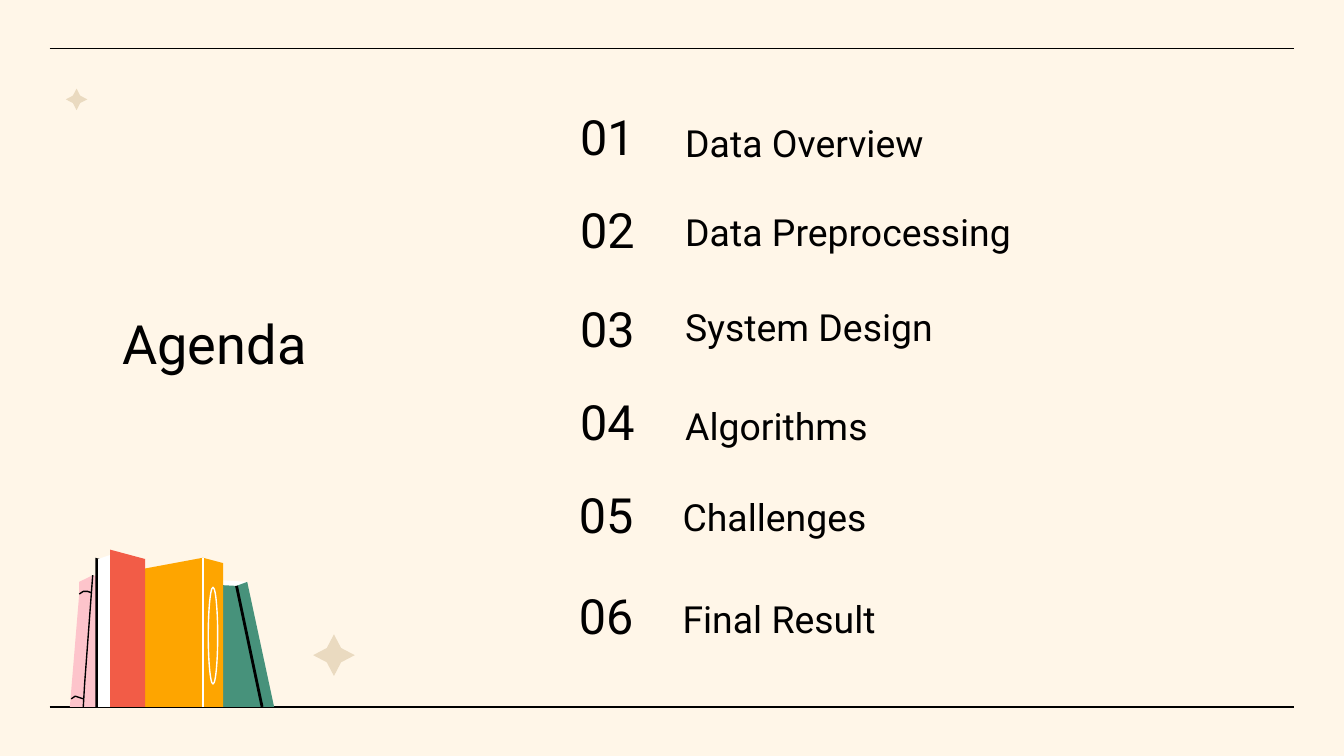
from lxml.etree import SubElement
from pptx import Presentation
from pptx.dml.color import RGBColor
from pptx.enum.shapes import MSO_CONNECTOR as CONNECTOR, MSO_SHAPE as SHAPE
from pptx.enum.text import MSO_ANCHOR as ANCHOR, MSO_AUTO_SIZE as AUTO_SIZE, PP_ALIGN as ALIGN
from pptx.oxml.ns import qn
from pptx.util import Pt

PX = 9144  # 100 px to the inch
COLORS = {
    "cream": "FFF6E8", "sand": "EADAC0", "black": "000000", "white": "FFFFFF",
    "green": "47927B", "orange": "FEA500", "pink": "FDC4CB", "red": "F25C47",
}
RGB = {name: RGBColor.from_string(value) for name, value in COLORS.items()}


def write(box, text, size, align, anchor, spacing=1.0):
    frame = box.text_frame
    frame.word_wrap = True
    frame.auto_size = AUTO_SIZE.NONE
    frame.vertical_anchor = anchor
    frame.margin_left = frame.margin_right = 10 * PX
    frame.margin_top = frame.margin_bottom = 10 * PX
    paragraph = frame.paragraphs[0]
    paragraph.alignment = align
    paragraph.line_spacing = spacing
    run = paragraph.add_run()
    run.text = text
    run.font.name = "Roboto"
    run.font.size = Pt(size)
    run.font.color.rgb = RGB["black"]


def paint(shape, fill=None, line=None, width=0.75):
    shape.shadow.inherit = False
    if fill:
        shape.fill.solid()
        shape.fill.fore_color.rgb = RGB[fill]
    else:
        shape.fill.background()
    if line:
        shape.line.color.rgb = RGB[line]
        shape.line.width = Pt(width)
    else:
        shape.line.fill.background()


prs = Presentation()
prs.slide_width = 1000 * PX
prs.slide_height = prs.slide_width * 9 // 16
slide = prs.slides.add_slide(prs.slide_layouts[5])
slide.background.fill.solid()
slide.background.fill.fore_color.rgb = RGB["cream"]
shapes = slide.shapes

# Rules at the top and bottom
for y in (36, 526):
    rule = shapes.add_connector(CONNECTOR.STRAIGHT, 37 * PX, y * PX, 963 * PX, y * PX)
    rule.line.color.rgb = RGB["black"]
    rule.line.width = Pt(0.75)
    SubElement(rule._element.spPr, qn("a:effectLst"))

# Sparkles
for left, top, size in ((49, 66, 16), (233, 472, 31)):
    sparkle = shapes.add_shape(SHAPE.STAR_4_POINT, left * PX, top * PX, size * PX, size * PX)
    sparkle.adjustments[0] = 0.243
    paint(sparkle, "sand")

title = shapes.title
title.left, title.top, title.width, title.height = 81 * PX, 221 * PX, 261 * PX, 68 * PX
write(title, "Agenda", 29, ALIGN.LEFT, ANCHOR.TOP)

# Agenda entries: label, number left and top, label left, top and width
entries = [
    ("Data Overview", 404, 72, 500, 88, 438),
    ("Data Preprocessing", 404, 141, 500, 154, 438),
    ("System Design", 404, 215, 500, 225, 525),
    ("Algorithms", 404, 284, 500, 298, 438),
    ("Challenges", 403, 353, 498, 366, 438),
    ("Final Result", 403, 428, 498, 442, 438),
]
for index, (label, number_left, number_top, left, top, width) in enumerate(entries, 1):
    number_box = shapes.add_textbox(number_left * PX, number_top * PX, 96 * PX, 61 * PX)
    write(number_box, f"{index:02}", 26, ALIGN.CENTER, ANCHOR.BOTTOM)
    label_box = shapes.add_textbox(left * PX, top * PX, width * PX, 45 * PX)
    write(label_box, label, 20, ALIGN.LEFT, ANCHOR.BOTTOM, 1.15)

# Books, back to front: outline, fill, line, line width
book_parts = [
    # green book
    ([(184, 433), (125, 429), (125, 519), (186, 519)], "white", None, 0),
    ([(204, 526), (184, 433), (176, 436), (118, 433), (121, 526)], "green", None, 0),
    ([(176, 436), (195, 526)], None, "black", 1.5),
    # orange book
    ([(108, 423), (151, 415), (166, 419), (166, 526), (108, 526)], "orange", None, 0),
    ([(151, 415), (151, 526)], None, "white", 0.75),
    # pink book
    ([(90, 511), (89, 526), (54, 526), (54, 524), (58, 508), (73, 509)], "black", None, 0),
    ([(104, 436), (97, 526), (62, 526), (63, 509), (69, 428), (82, 431)], "pink", None, 0),
    ([(69, 428), (63, 509), (62, 526), (52, 526), (59, 442), (59, 433)], "pink", None, 0),
    ([(68, 441), (65, 440), (62, 440), (59, 442)], None, "black", 0.75),
    ([(62, 520), (59, 519), (56, 518), (53, 520)], None, "black", 0.75),
    ([(69, 428), (63, 509), (62, 526)], None, "black", 0.75),
    # red book
    ([(97, 422), (97, 526), (71, 526), (71, 415)], "black", None, 0),
    ([(82, 413), (82, 526), (73, 526), (73, 416)], "white", None, 0),
    ([(108, 416), (108, 526), (82, 526), (82, 409)], "red", None, 0),
]
for points, fill, line, width in book_parts:
    outline = shapes.build_freeform(*points[0], scale=PX)
    outline.add_line_segments(points[1:], close=fill is not None)
    paint(outline.convert_to_shape(), fill, line, width)

spine_oval = shapes.add_shape(SHAPE.OVAL, 155 * PX, 437 * PX, 7 * PX, 72 * PX)
paint(spine_oval, line="white")

prs.save("out.pptx")
